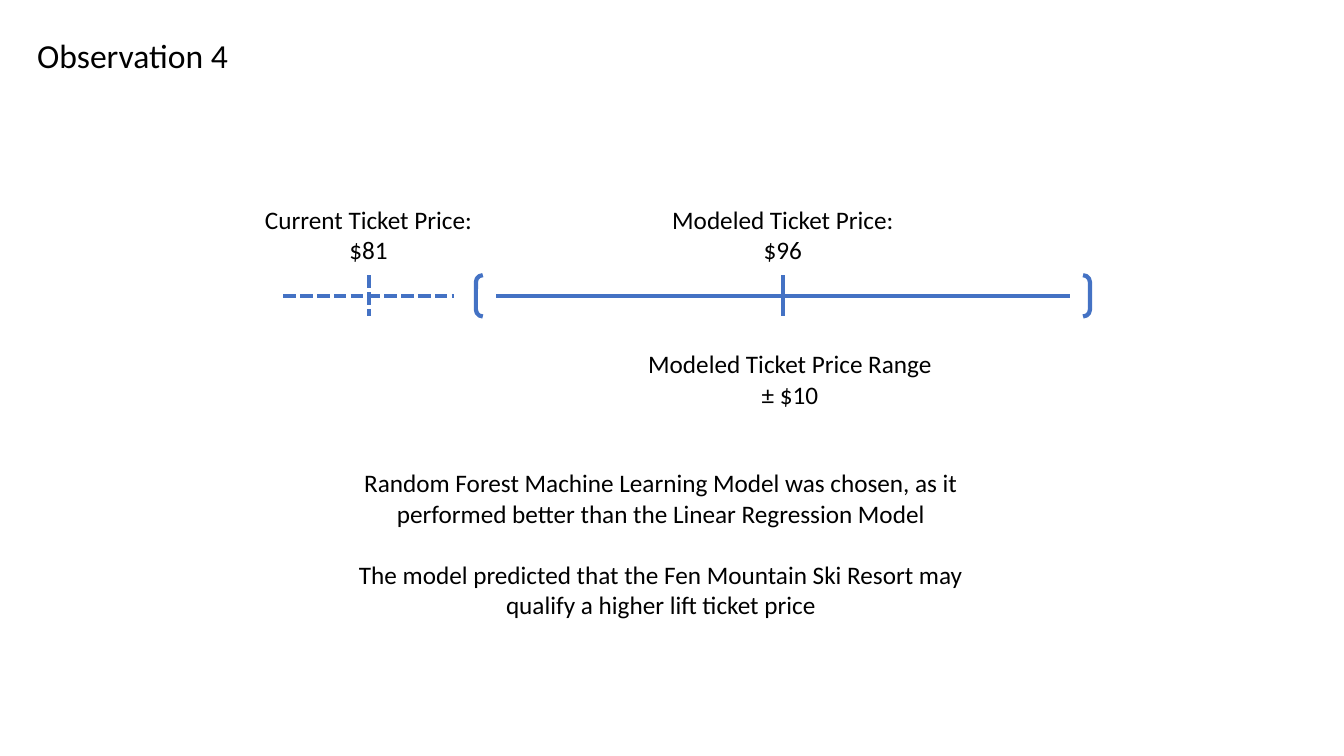
from lxml import etree
from pptx import Presentation
from pptx.dml.color import RGBColor
from pptx.enum import dml, shapes, text
from pptx.oxml import ns
from pptx.util import Inches, Pt

BLACK = RGBColor(0x00, 0x00, 0x00)
BLUE = RGBColor(0x44, 0x72, 0xC4)

deck = Presentation()
deck.slide_width = Inches(13.33)
deck.slide_height = Inches(7.5)
slide = deck.slides.add_slide(deck.slide_layouts[6])


def add_text(left, top, width, height, lines, size=18, align=text.PP_ALIGN.CENTER, gap=0):
    frame = slide.shapes.add_textbox(
        Inches(left), Inches(top), Inches(width), Inches(height)).text_frame
    frame.word_wrap = True
    for index, line in enumerate(lines):
        paragraph = frame.paragraphs[0] if index == 0 else frame.add_paragraph()
        paragraph.text = line
        paragraph.alignment = align
        if index and gap:
            paragraph.space_before = Pt(gap)
        paragraph.font.name = "Calibri"
        paragraph.font.size = Pt(size)
        paragraph.font.color.rgb = BLACK
    return frame


title = add_text(0.27, 0.34, 10, 0.58, ["Observation 4"], 24, text.PP_ALIGN.LEFT)
title.paragraphs[0].line_spacing = 0.9

add_text(3.22, 4.59, 6.67, 1.62, [
    "Random Forest Machine Learning Model was chosen, as it performed better than the Linear Regression Model",
    "The model predicted that the Fen Mountain Ski Resort may qualify a higher lift ticket price",
], gap=22)

axis_y, tick_top, tick_bottom = 2.94, 2.73, 3.14
for x1, y1, x2, y2, dashed in [
    (4.92, axis_y, 10.61, axis_y, False),
    (7.77, tick_top, 7.77, tick_bottom, False),
    (2.81, axis_y, 4.5, axis_y, True),
    (3.66, tick_top, 3.66, tick_bottom, True),
]:
    price_line = slide.shapes.add_connector(
        shapes.MSO_CONNECTOR.STRAIGHT, Inches(x1), Inches(y1), Inches(x2), Inches(y2))
    price_line.line.color.rgb = BLUE
    price_line.line.width = Pt(3)
    if dashed:
        price_line.line.dash_style = dml.MSO_LINE.SQUARE_DOT
    etree.SubElement(price_line._element.spPr, ns.qn("a:effectLst"))

range_bracket = slide.shapes.add_shape(
    shapes.MSO_SHAPE.DOUBLE_BRACKET,
    Inches(4.72), Inches(tick_top), Inches(6.09), Inches(tick_bottom - tick_top))
range_bracket.shadow.inherit = False
range_bracket.fill.background()
range_bracket.line.color.rgb = BLUE
range_bracket.line.width = Pt(3)

for left, top, label, price in [
    (0.32, 1.98, "Current Ticket Price:", "$81"),
    (4.43, 1.98, "Modeled Ticket Price:", "$96"),
    (4.5, 3.41, "Modeled Ticket Price Range", "± $10"),
]:
    add_text(left, top, 6.67, 0.71, [label, price])

deck.save("out.pptx")
